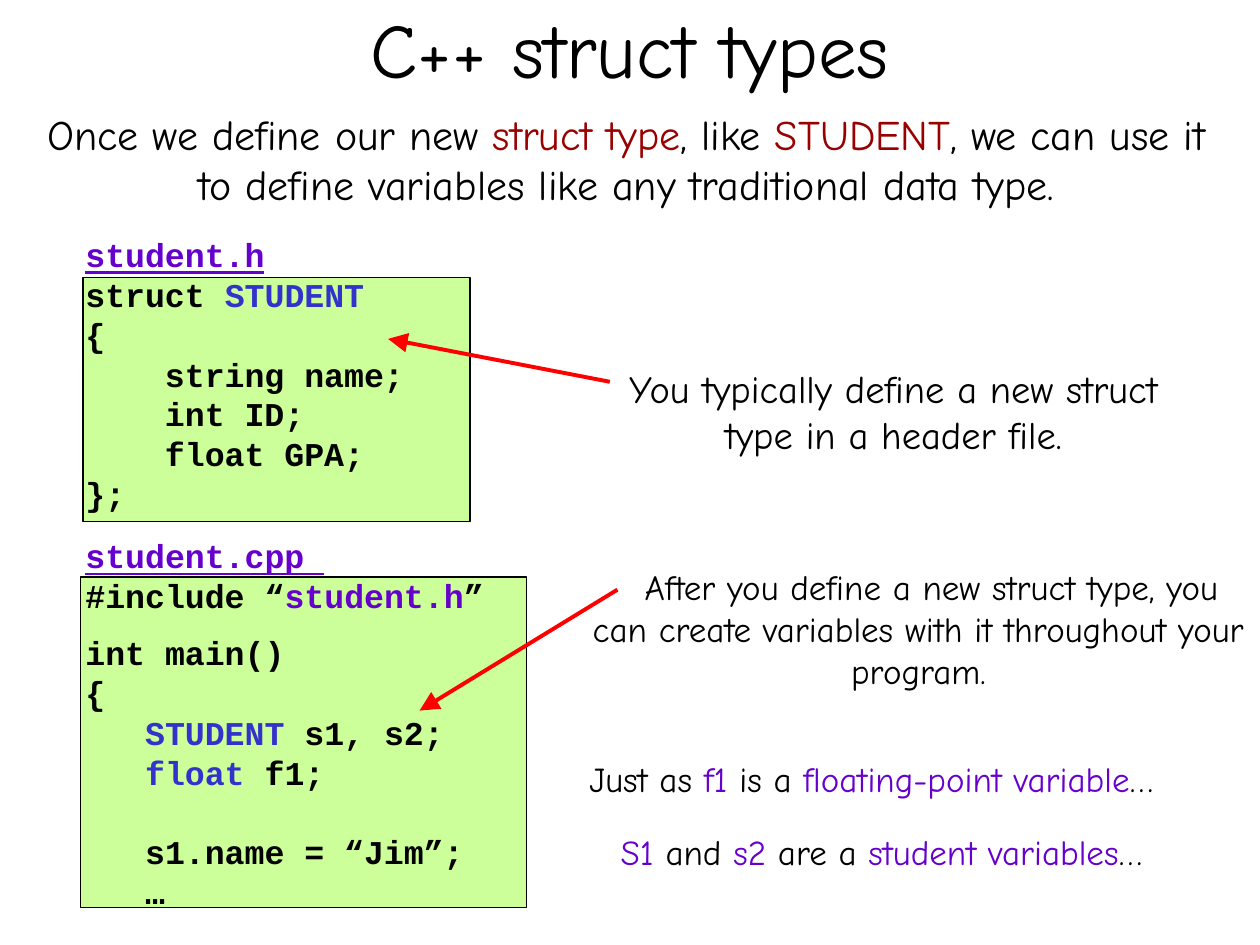
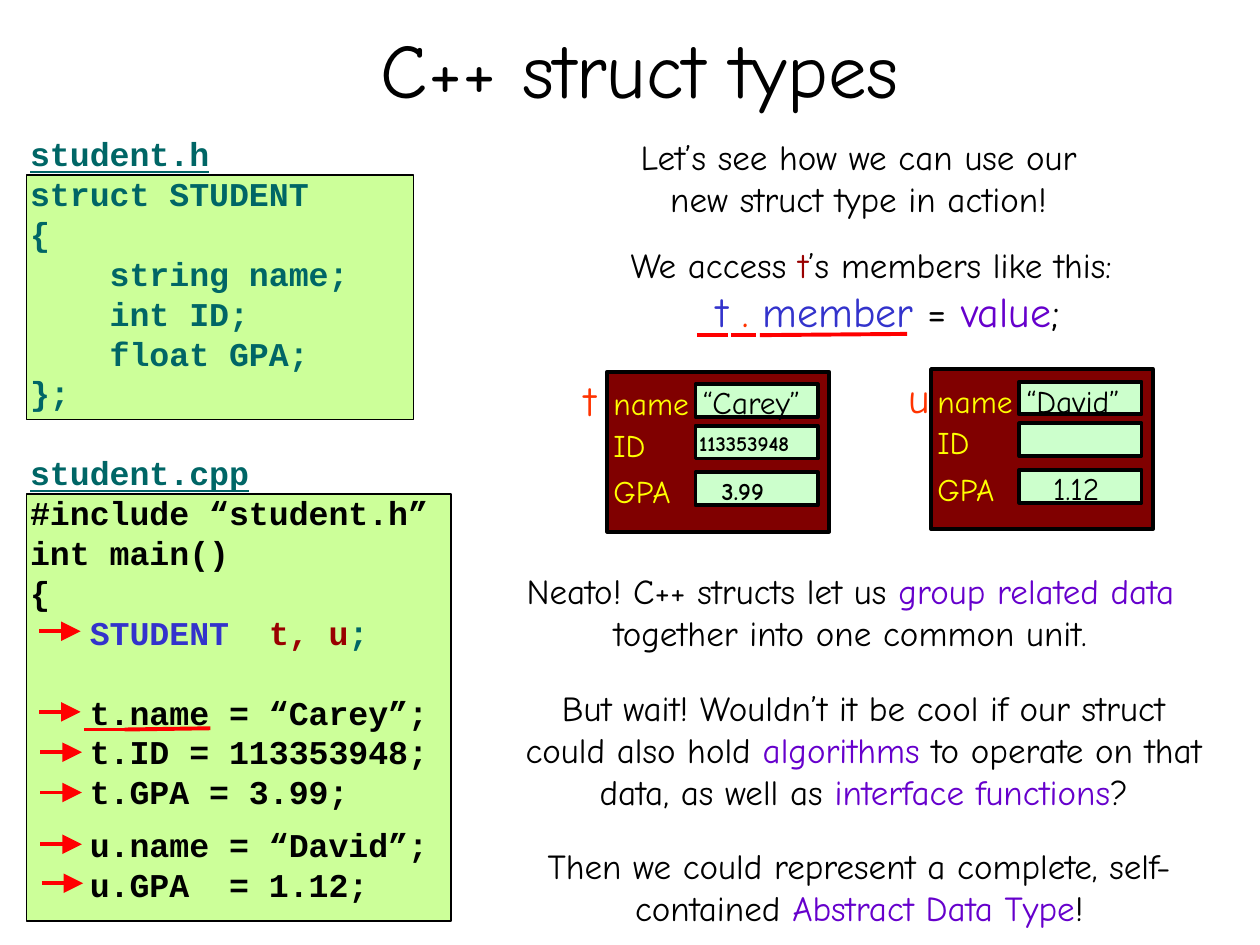
from lxml.etree import SubElement as Sub
from pptx import Presentation
from pptx.dml.color import RGBColor as Rgb
from pptx.enum.shapes import MSO_CONNECTOR as Conn, MSO_SHAPE as Shape
from pptx.enum.text import MSO_ANCHOR as Anchor, MSO_AUTO_SIZE as Fit, PP_ALIGN as Align
from pptx.oxml.ns import qn
from pptx.util import Pt

PX = 9144
HUES = {
    "black": "000000", "lime": "CCFF99", "mint": "CCFFCC", "maroon": "800000",
    "wine": "990000", "purple": "6600CC", "blue": "3333CC", "teal": "006666",
    "red": "FF0000", "orange": "FF3300", "yellow": "FFFF00",
}
NOTE = {"name": "Comic Neue", "size": Pt(20)}
CODE = {"name": "Courier New", "size": Pt(19), "bold": True}
HEAD = {"underline": True}
BIG = {"size": Pt(24)}
MID = {"size": Pt(18)}
LINE = 22.8
TITLE = "C++ struct types"


def hue(name):
    """Return the named colour."""
    return Rgb.from_string(HUES[name])


def emu(*vals):
    """Turn px into EMU."""
    return [v * PX for v in vals]


def put(para, base, text, tint="black", extra=None):
    """Add one formatted run to a paragraph."""
    run = para.add_run()
    run.text = text
    for key, val in {**base, **(extra or {})}.items():
        setattr(run.font, key, val)
    run.font.color.rgb = hue(tint)


def write(slide, box, paras, base=NOTE, wrap=True, align=Align.CENTER):
    """Add a text box with a list of paragraphs and return them."""
    frame = slide.shapes.add_textbox(*emu(*box)).text_frame
    frame.word_wrap = wrap
    for i, runs in enumerate(paras):
        para = frame.paragraphs[0] if i == 0 else frame.add_paragraph()
        para.alignment = align
        for run in runs:
            put(para, base, *([run] if isinstance(run, str) else run))
    return frame.paragraphs


def label(slide, box, *run):
    """Add a short left-aligned text of one run."""
    write(slide, box, [[run]], wrap=False, align=Align.LEFT)


def rect(slide, box, tint, width):
    """Add a filled rectangle with a black outline."""
    shape = slide.shapes.add_shape(Shape.RECTANGLE, *emu(*box))
    shape.shadow.inherit = False
    shape.fill.solid()
    shape.fill.fore_color.rgb = hue(tint)
    shape.line.color.rgb = hue("black")
    shape.line.width = Pt(width)


def stroke(slide, ends, arrow=False):
    """Add a red line, with an arrowhead if asked."""
    line = slide.shapes.add_connector(Conn.STRAIGHT, *emu(*ends))
    line.line.color.rgb = hue("red")
    line.line.width = Pt(2.25)
    if arrow:
        Sub(line.line._get_or_add_ln(), qn("a:tailEnd"), type="triangle", w="lg", len="lg")
    Sub(line._element.spPr, qn("a:effectLst"))


def code(slide, box, lines, gaps):
    """Add code lines at a fixed pitch, with extra gaps before some."""
    paras = write(slide, box, lines, CODE, False, Align.LEFT)
    for i, para in enumerate(paras):
        para.line_spacing = Pt(LINE)
        para.space_before = Pt(gaps.get(i, 0))


def title(slide, box):
    """Place and format the title."""
    shape = slide.shapes.title
    shape.left, shape.top, shape.width, shape.height = emu(*box)
    frame = shape.text_frame
    frame.auto_size = Fit.NONE
    frame.vertical_anchor = Anchor.MIDDLE
    para = frame.paragraphs[0]
    para.alignment = Align.CENTER
    put(para, NOTE, TITLE, "black", {"size": Pt(44)})


def card(slide, left, top, name, vals):
    """Draw one student record; vals hold text, offset and format."""
    rect(slide, (left, top, 176, 127), "maroon", 2.25)
    label(slide, (left - 28, top - 3, 60, 50), name, "orange", BIG)
    for field, y, (text, x, dy, look) in zip(("name", "ID", "GPA"), (10, 43, 80), vals):
        rect(slide, (left + 70, top + y, 97, 26), "mint", 2.25)
        label(slide, (left - 5, top + y - 5, 131, 40), field, "yellow", MID)
        if text:
            label(slide, (left + x, top + y + dy, 126, 40), text, "black", look)


def define(slide):
    """Build the slide on defining a struct."""
    rect(slide, (64, 458, 354, 262), "lime", 0.75)
    rect(slide, (66, 220, 307, 194), "lime", 0.75)
    title(slide, (75, -25, 850, 125))
    write(slide, (27, 81, 940, 90), [[
        "Once we define our new ", ("struct type", "wine"), ", like ", ("STUDENT", "wine"),
        ", we can use it to define variables like any traditional data type."]],
        {**NOTE, **BIG})
    code(slide, (58, 181, 273, 263), [
        [("student.h", "purple", HEAD)], ["struct ", ("STUDENT", "blue")], ["{"],
        ["    string name;"], ["    int ID;"], ["    float GPA;"], ["};"]], {})
    code(slide, (58, 420, 339, 311), [
        [("student.cpp ", "purple", HEAD)],
        ["#include “", ("student.h", "purple"), "”"], ["int main()"], ["{"],
        [("   STUDENT ", "blue"), "s1, s2;"], [("   float ", "blue"), "f1;"],
        ["   s1.name = “Jim”;"], ["   …"]], {2: 9.7, 6: LINE})
    write(slide, (438, 285, 542, 83), [
        ["You typically define a new struct"], ["type in a header file."]],
        {**NOTE, "size": Pt(22)})
    stroke(slide, (484, 303, 308, 269), True)
    after = write(slide, (458, 444, 542, 110), [[
        "After you define a new struct type, you can create variables with it "
        "throughout your program."]])
    after[0]._p.get_or_add_pPr().set("indent", str(Pt(15)))
    stroke(slide, (490, 468, 333, 564), True)
    write(slide, (426, 596, 531, 43), [[
        "Just as ", ("f1", "purple"), " is a ", ("floating-point variable", "purple"), "…"]])
    write(slide, (434, 654, 531, 43), [[
        ("S1 ", "purple"), "and ", ("s2", "purple"), " are a ",
        ("student variables", "purple"), "…"]])


def access(slide):
    """Build the slide on using struct members."""
    rect(slide, (21, 392, 337, 339), "lime", 0.75)
    rect(slide, (21, 139, 307, 194), "lime", 0.75)
    title(slide, (83, -9, 850, 125))
    struct = ["struct STUDENT", "{", "    string name;", "    int ID;", "    float GPA;", "};"]
    sets = ["t.name = “Carey”;", "t.ID = 113353948;", "t.GPA = 3.99;",
            "u.name = “David”;", "u.GPA  = 1.12;"]
    code(slide, (14, 101, 339, 628), [
        [("student.h", "teal", HEAD)], *([(s, "teal")] for s in struct),
        [("student.cpp", "teal", HEAD)], ["#include “student.h”"], ["int main()"], ["{"],
        [("   STUDENT  ", "blue"), ("t, u", "wine"), (";", "teal")],
        *(["   " + s] for s in sets)], {7: LINE, 12: LINE, 15: 7.5})
    for x, y in ((31, 501), (31, 565), (32, 597), (32, 629), (32, 670), (33, 701)):
        stroke(slide, (x, y, x + 33, y), True)
    lines = write(slide, (414, 188, 555, 83), [
        ["We access ", ("t", "wine"), "’s members like this:"],
        [("t ", "blue", BIG), (". ", "orange", BIG), ("member", "blue", BIG),
         (" = ", "black", BIG), ("value", "purple", BIG), (";", "black", BIG)]])
    lines[1]._p.get_or_add_pPr().set("marL", str(Pt(19)))
    for ends in ((67, 579, 92, 579), (82, 579, 107, 579), (99, 579, 167, 578),
                 (553, 266, 578, 266), (580, 266, 600, 266), (603, 266, 720, 265)):
        stroke(slide, ends)
    card(slide, 482, 295, "t", [
        ("“Carey”", 66, -6, MID), ("113353948", 63, -1, {"size": Pt(12), "bold": True}),
        ("3.99", 81, -2, {"size": Pt(14), "bold": True})])
    card(slide, 739, 293, "u", [
        ("“David”", 66, -5, MID), ("", 0, 0, {}), ("1.12", 87, -6, MID)])
    write(slide, (482, 103, 399, 77), [[
        "Let’s see how we can use our new struct type in action!"]])
    write(slide, (374, 447, 602, 77), [[
        "Neato! C++ structs let us ", ("group related data", "purple"),
        " together into one common unit."]])
    write(slide, (401, 540, 569, 110), [[
        "But wait! Wouldn’t it be cool if our struct could also hold ",
        ("algorithms", "purple"), " to operate on that data, as well as ",
        ("interface functions", "purple"), "?"]])
    write(slide, (407, 665, 550, 77), [[
        "Then we could represent a complete, self-contained ",
        ("Abstract Data Type", "purple"), "!"]])


def main():
    """Build and save the slides."""
    deck = Presentation()
    deck.slide_width, deck.slide_height = emu(1000, 750)
    for build in (define, access):
        build(deck.slides.add_slide(deck.slide_layouts[5]))
    deck.save("out.pptx")


if __name__ == "__main__":
    main()
